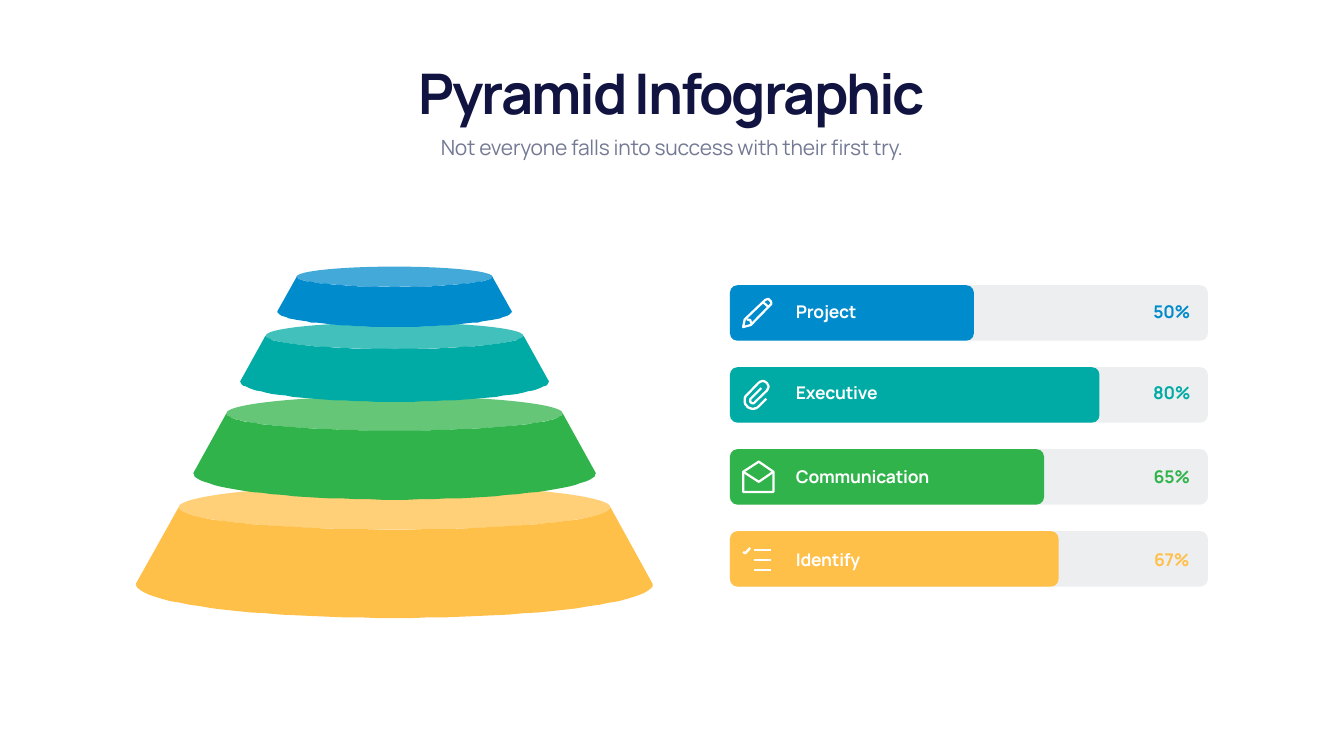
import math
from dataclasses import dataclass

import pptx
import pptx.dml.color
import pptx.enum.shapes
import pptx.enum.text
import pptx.oxml
import pptx.oxml.ns
import pptx.util

Pt = pptx.util.Pt
RGBColor = pptx.dml.color.RGBColor
Shape = pptx.enum.shapes.MSO_SHAPE
Align = pptx.enum.text.PP_ALIGN
Anchor = pptx.enum.text.MSO_ANCHOR

BLUE = RGBColor(0x00, 0x8B, 0xCC)
TEAL = RGBColor(0x00, 0xAA, 0xA5)
GREEN = RGBColor(0x30, 0xB3, 0x4A)
YELLOW = RGBColor(0xFF, 0xC0, 0x4A)
NAVY = RGBColor(0x11, 0x13, 0x40)
SLATE = RGBColor(0x74, 0x7A, 0x94)
TRACK = RGBColor(0xDC, 0xDF, 0xE1)
WHITE = RGBColor(0xFF, 0xFF, 0xFF)

FONT = "Manrope"
PYRAMID_CENTER = 563.5
BAR_LEFT, BAR_TOP, BAR_PITCH = 1042.5, 407.5, 117.1
BAR_WIDTH, BAR_HEIGHT = 682.6, 79.2
ICON_LEFT, ICON_UNIT = 1060, 0.72

Point = tuple[float, float]


@dataclass
class Stroke:
    points: list[Point]
    closed: bool = False


@dataclass
class Tier:
    color: RGBColor
    radius: float
    base_y: float


@dataclass
class Skill:
    label: str
    percent: str
    color: RGBColor
    width: float
    label_offset: float
    icon_offset: float
    icon: list[Stroke]


def arc(cx: float, cy: float, rx: float, ry: float, start: int, end: int) -> list[Point]:
    """Points along an ellipse, angles in degrees clockwise from the right."""
    steps = 48
    angles = [math.radians(start + (end - start) * i / steps) for i in range(steps + 1)]
    return [(cx + rx * math.cos(a), cy + ry * math.sin(a)) for a in angles]


# Icon strokes, in units of ICON_UNIT points
PENCIL = [
    Stroke([(2, 58), (5, 43), (46, 4), (52, 2.5), (57, 7), (58, 12), (17, 54)], True),
    Stroke([(42, 9), (53, 19)]),
    Stroke([(9, 43), (16, 44), (18, 51)]),
]
PAPERCLIP = [Stroke([
    (48, 37), *arc(21.25, 40.5, 16.5, 16.5, 45, 225),
    *arc(40.75, 13.25, 11, 11, 225, 405),
    *arc(21.25, 40.5, 5.6, 5.6, 45, 225), (38.5, 15.5),
])]
ENVELOPE = [
    Stroke([(2.5, 22), (33, 2.5), (62.5, 22), (62.5, 61.5), (2.5, 61.5)], True),
    Stroke([(2.5, 22), (33, 42), (62.5, 22)]),
]
CHECKLIST = [
    Stroke([(1.5, 9.5), (6, 13), (16.5, 1.5)]),
    *[Stroke([(24, y), (58, y)]) for y in (6.5, 26.5, 46.5)],
]

TIERS = [
    Tier(YELLOW, 369, 834.5),
    Tier(GREEN, 287.6, 676),
    Tier(TEAL, 220.3, 545),
    Tier(BLUE, 167.4, 445),
]
SKILLS = [
    Skill("Project", "50%", BLUE, 348.5, 19.5, 18, PENCIL),
    Skill("Executive", "80%", TEAL, 527.8, 17, 18.3, PAPERCLIP),
    Skill("Communication", "65%", GREEN, 448.6, 20.3, 16.4, ENVELOPE),
    Skill("Identify", "67%", YELLOW, 469.4, 22.3, 22.4, CHECKLIST),
]


def paint(shape, color: RGBColor, opacity: int = 100) -> None:
    shape.shadow.inherit = False
    shape.line.fill.background()
    shape.fill.solid()
    shape.fill.fore_color.rgb = color
    if opacity < 100:
        srgb = shape.fill._xPr.find(".//" + pptx.oxml.ns.qn("a:srgbClr"))
        srgb.append(pptx.oxml.parse_xml(
            f'<a:alpha {pptx.oxml.ns.nsdecls("a")} val="{opacity * 1000}"/>'))


def add_tier(shapes, tier: Tier) -> None:
    lid_rx, lid_ry = 0.836 * tier.radius, 0.086 * tier.radius
    lid_y = tier.base_y - 0.297 * tier.radius
    edge = arc(PYRAMID_CENTER, lid_y, lid_rx, lid_ry, 0, 180)
    edge += arc(PYRAMID_CENTER, tier.base_y, tier.radius, 0.131 * tier.radius, 180, 0)
    builder = shapes.build_freeform(*edge[0], scale=Pt(1))
    builder.add_line_segments(edge[1:], close=True)
    paint(builder.convert_to_shape(), tier.color)
    lid = shapes.add_shape(Shape.OVAL, Pt(PYRAMID_CENTER - lid_rx), Pt(lid_y - lid_ry),
                           Pt(2 * lid_rx), Pt(2 * lid_ry))
    paint(lid, tier.color, 74)


def add_bar(shapes, top: float, width: float, color: RGBColor, opacity: int = 100) -> None:
    bar = shapes.add_shape(Shape.ROUNDED_RECTANGLE, Pt(BAR_LEFT), Pt(top),
                           Pt(width), Pt(BAR_HEIGHT))
    bar.adjustments[0] = 0.135
    paint(bar, color, opacity)


def add_icon(shapes, top: float, strokes: list[Stroke]) -> None:
    builder = shapes.build_freeform(*strokes[0].points[0], scale=Pt(ICON_UNIT))
    for index, stroke in enumerate(strokes):
        if index:
            builder.move_to(*stroke.points[0])
        builder.add_line_segments(stroke.points[1:], close=stroke.closed)
    icon = builder.convert_to_shape(Pt(ICON_LEFT), Pt(top))
    icon.shadow.inherit = False
    icon.fill.background()
    icon.line.color.rgb = WHITE
    icon.line.width = Pt(3.2)


def add_text(shapes, text: str, left: float, top: float, width: float, height: float,
             size: float, color: RGBColor, bold: bool = True, align=Align.LEFT,
             tracking: float = -0.3, leading: float | None = None,
             anchor=Anchor.TOP, wrap: bool = True) -> None:
    frame = shapes.add_textbox(Pt(left), Pt(top), Pt(width), Pt(height)).text_frame
    frame.word_wrap = wrap
    frame.vertical_anchor = anchor
    frame.text = text
    paragraph = frame.paragraphs[0]
    paragraph.alignment = align
    if leading:
        paragraph.line_spacing = Pt(leading)
    run = paragraph.runs[0]
    run.font.name = FONT
    run.font.size = Pt(size)
    run.font.bold = bold
    run.font.color.rgb = color
    run.font._element.set("spc", str(round(tracking * 100)))


def add_skill(shapes, skill: Skill, top: float) -> None:
    add_bar(shapes, top, BAR_WIDTH, TRACK, 50)
    add_bar(shapes, top, skill.width, skill.color)
    add_icon(shapes, top + skill.icon_offset, skill.icon)
    label_top = top + skill.label_offset
    add_text(shapes, skill.label, 1129.7, label_top, 205, 37.4, 25, WHITE)
    add_text(shapes, skill.percent, 1639.4, label_top, 68.4, 37.4, 25, skill.color,
             align=Align.CENTER)


def main() -> None:
    deck = pptx.Presentation()
    deck.slide_width, deck.slide_height = Pt(1919.5), Pt(1080)
    shapes = deck.slides.add_slide(deck.slide_layouts[6]).shapes

    # Heading
    add_text(shapes, "Pyramid Infographic", 587.5, 81.4, 744.5, 102.2, 80, NAVY,
             align=Align.CENTER, tracking=-3, leading=94, anchor=Anchor.BOTTOM, wrap=False)
    add_text(shapes, "Not everyone falls into success with their first try.",
             616.3, 185.8, 686.9, 43.2, 30, SLATE, bold=False,
             align=Align.CENTER, leading=38.4)

    # Pyramid, from the bottom tier up
    for tier in TIERS:
        add_tier(shapes, tier)

    # Progress bars
    for row, skill in enumerate(SKILLS):
        add_skill(shapes, skill, BAR_TOP + row * BAR_PITCH)

    deck.save("out.pptx")


if __name__ == "__main__":
    main()
